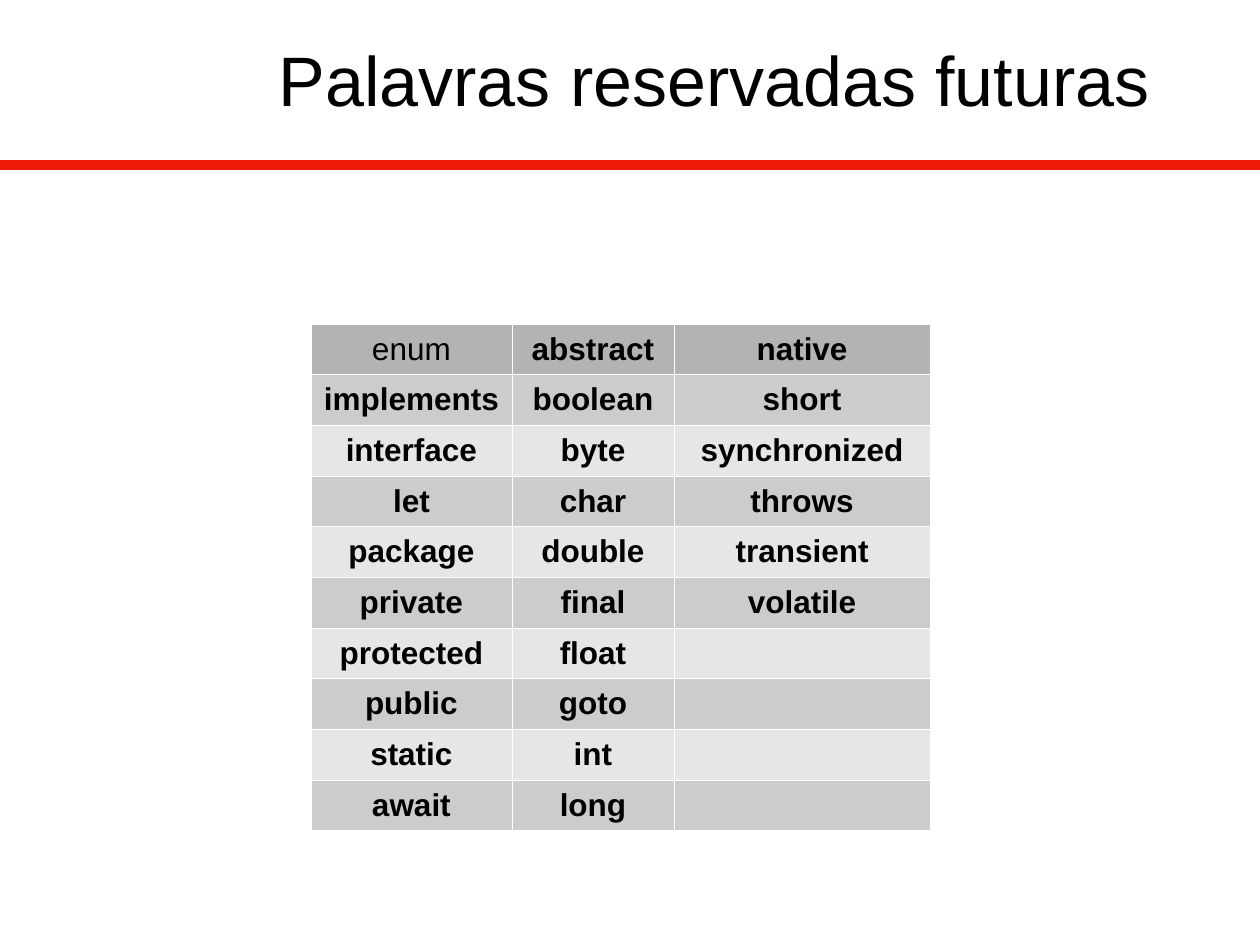
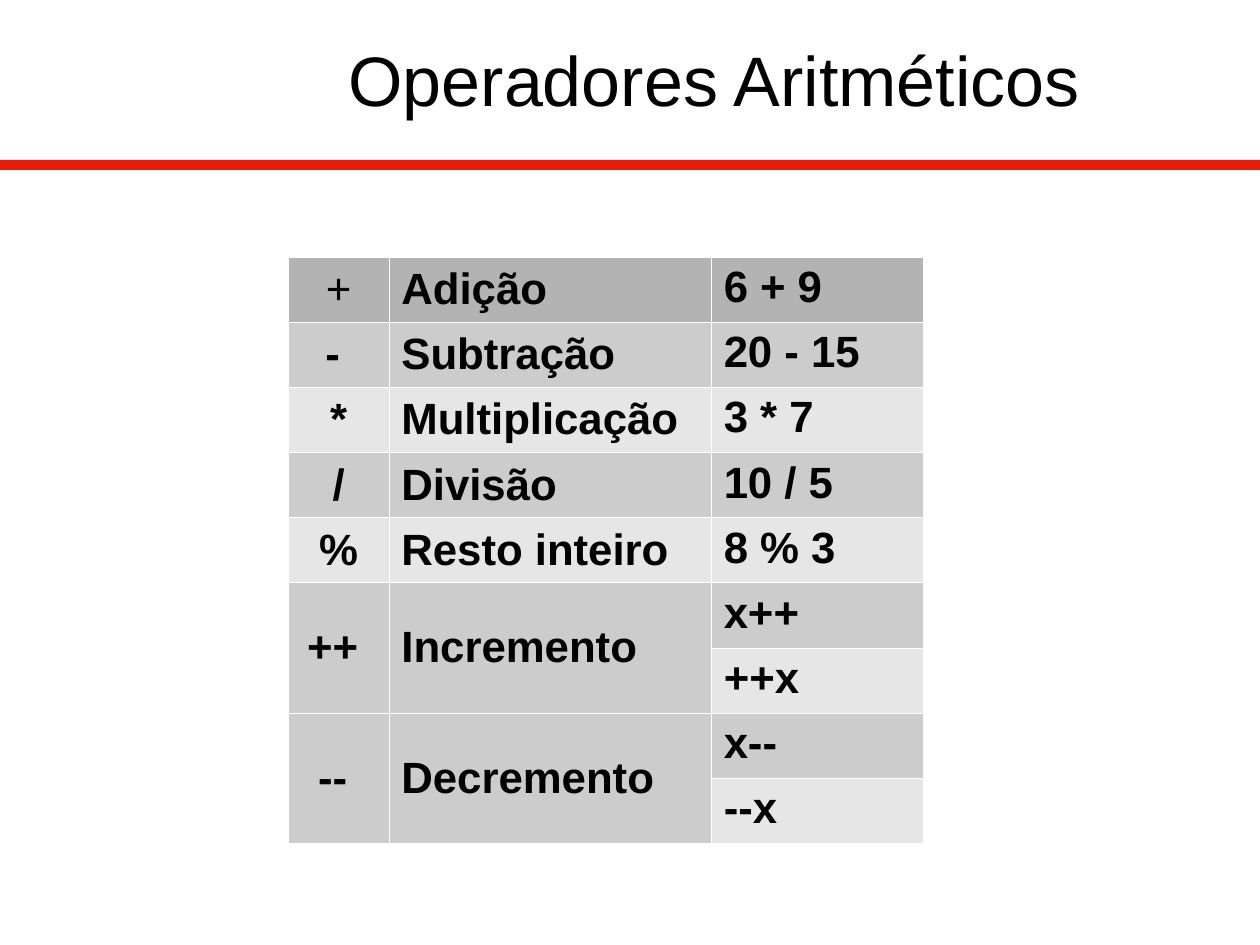
from lxml import etree
from pptx import Presentation
from pptx.dml.color import RGBColor
from pptx.enum import shapes, text
from pptx.oxml import ns
from pptx.util import Pt

WHITE = RGBColor(0xFF, 0xFF, 0xFF)
BLACK = RGBColor(0x00, 0x00, 0x00)
RED = RGBColor(0xED, 0x19, 0x09)
HEADER_GRAY = RGBColor(0xB3, 0xB3, 0xB3)
DARK_GRAY = RGBColor(0xCC, 0xCC, 0xCC)
LIGHT_GRAY = RGBColor(0xE6, 0xE6, 0xE6)

FONT = "Arial"
SLIDE_W, SLIDE_H = Pt(720), Pt(540)
RULE_Y = Pt(94.2)
CELL_MARGIN = Pt(7.1)
LEFT, CENTER = text.PP_ALIGN.LEFT, text.PP_ALIGN.CENTER
TOP, MIDDLE = text.MSO_ANCHOR.TOP, text.MSO_ANCHOR.MIDDLE

RESERVED_WORDS = [
    ("enum", "abstract", "native"),
    ("implements", "boolean", "short"),
    ("interface", "byte", "synchronized"),
    ("let", "char", "throws"),
    ("package", "double", "transient"),
    ("private", "final", "volatile"),
    ("protected", "float", ""),
    ("public", "goto", ""),
    ("static", "int", ""),
    ("await", "long", ""),
]
OPERATORS = [
    ("+", "Adição", "6 + 9"),
    ("- ", "Subtração", "20 - 15"),
    ("*", "Multiplicação", "3 * 7"),
    ("/", "Divisão", "10 / 5"),
    ("%", "Resto inteiro", "8 % 3"),
    ("++ ", "Incremento", "x++"),
    ("", "", "++x"),
    ("-- ", "Decremento", "x--"),
    ("", "", "--x"),
]


def style_paragraph(p, size, align, bold=False):
    p.alignment = align
    p.font.name = FONT
    p.font.size = Pt(size)
    p.font.bold = bold
    p.font.color.rgb = BLACK


def add_rule(s):
    line = s.shapes.add_connector(
        shapes.MSO_CONNECTOR.STRAIGHT, 0, RULE_Y, SLIDE_W, RULE_Y)
    line.line.color.rgb = RED
    line.line.width = Pt(6)
    etree.SubElement(line._element.spPr, ns.qn("a:effectLst"))


def add_title(s, title):
    sp = s.shapes.add_textbox(Pt(110.3), Pt(-7), Pt(595.4), Pt(103.7))
    tf = sp.text_frame
    tf.word_wrap = True
    tf.vertical_anchor = MIDDLE
    p = tf.paragraphs[0]
    p.text = title
    style_paragraph(p, 40, CENTER)


def add_slide(prs, title):
    s = prs.slides.add_slide(prs.slide_layouts[6])
    add_rule(s)
    add_title(s, title)
    return s


def set_borders(cell):
    tc_pr = cell._tc.get_or_add_tcPr()
    for i, side in enumerate(("lnL", "lnR", "lnT", "lnB")):
        ln = etree.Element(ns.qn(f"a:{side}"), w=str(Pt(0.06)))
        fill = etree.SubElement(ln, ns.qn("a:solidFill"))
        etree.SubElement(fill, ns.qn("a:srgbClr"), val=str(WHITE))
        tc_pr.insert(i, ln)


def row_color(row):
    if row == 0:
        return HEADER_GRAY
    return DARK_GRAY if row % 2 else LIGHT_GRAY


def add_word_table(s, left, top, widths, row_height, rows, size, aligns, anchors):
    table = s.shapes.add_table(
        len(rows), len(widths), Pt(left), Pt(top),
        Pt(sum(widths)), Pt(row_height * len(rows))).table
    table.first_row = table.horz_banding = False
    for column, width in zip(table.columns, widths):
        column.width = Pt(width)
    for r, words in enumerate(rows):
        table.rows[r].height = Pt(row_height)
        for c, word in enumerate(words):
            cell = table.cell(r, c)
            cell.fill.solid()
            cell.fill.fore_color.rgb = row_color(r)
            cell.vertical_anchor = anchors[c]
            cell.margin_left = cell.margin_right = CELL_MARGIN
            set_borders(cell)
            p = cell.text_frame.paragraphs[0]
            if word:
                p.text = word
            style_paragraph(p, size, aligns[c], bold=(r, c) != (0, 0))
    return table


def main():
    prs = Presentation()
    prs.slide_width, prs.slide_height = SLIDE_W, SLIDE_H

    s = add_slide(prs, "Palavras reservadas futuras")
    add_word_table(s, 177.8, 185.1, (114.6, 93, 146), 28.95, RESERVED_WORDS,
                   18, (CENTER,) * 3, (MIDDLE,) * 3)

    s = add_slide(prs, "Operadores Aritméticos")
    table = add_word_table(s, 164.7, 146.8, (57.6, 184.2, 121), 37.2, OPERATORS,
                           25, (CENTER, LEFT, LEFT), (MIDDLE, MIDDLE, TOP))
    for row in (5, 7):
        for col in (0, 1):
            table.cell(row, col).merge(table.cell(row + 1, col))

    prs.save("out.pptx")


if __name__ == "__main__":
    main()
